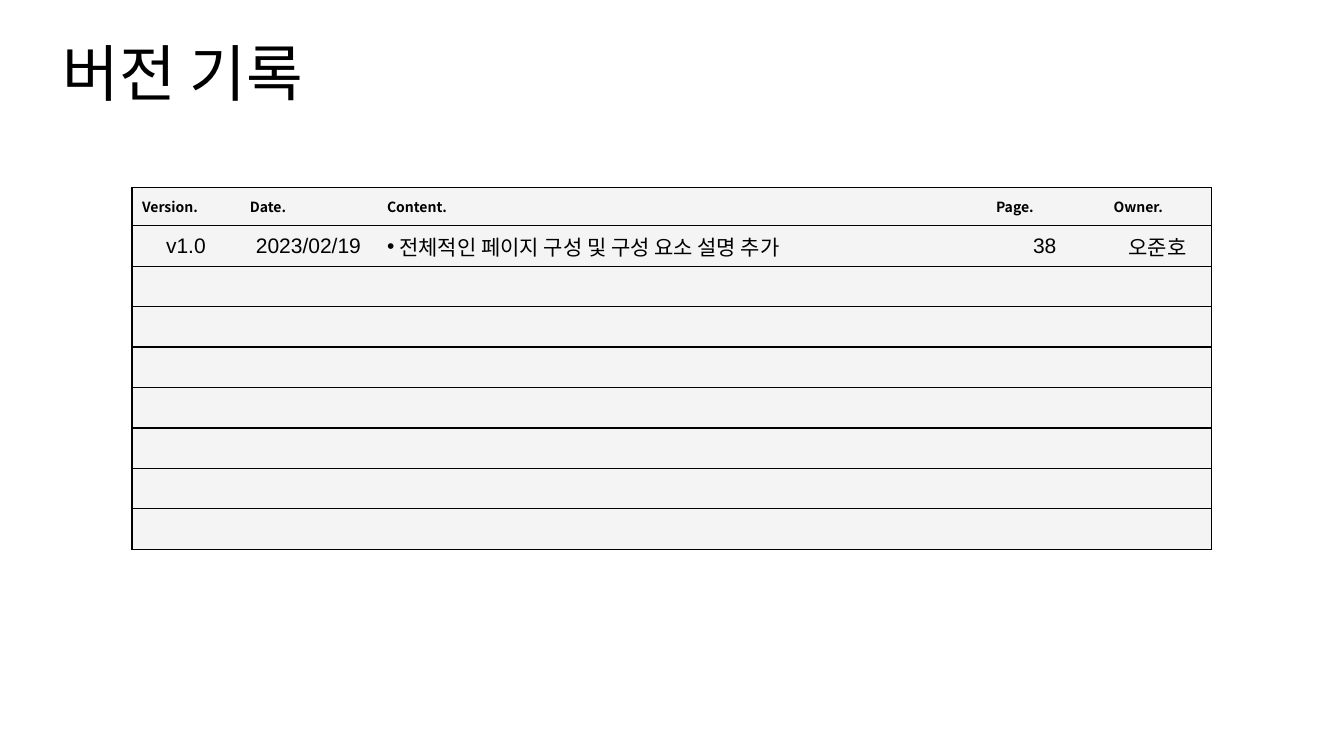
from dataclasses import dataclass

from lxml import etree
from pptx import Presentation
from pptx.dml.color import RGBColor
from pptx.enum.text import MSO_ANCHOR, MSO_AUTO_SIZE, PP_ALIGN
from pptx.oxml.ns import qn
from pptx.util import Pt

LEFT, CENTER = PP_ALIGN.LEFT, PP_ALIGN.CENTER
MIDDLE, NO_FIT = MSO_ANCHOR.MIDDLE, MSO_AUTO_SIZE.NONE

HUES = {"ink": "000000", "cell": "F4F4F4"}
LATIN, HANGUL = "Arial", "Noto Sans CJK KR"
TITLE = {"size": Pt(44), "bold": False, "name": LATIN}
HEAD = {"size": Pt(10), "bold": True, "name": HANGUL}
BODY = {"size": Pt(15), "bold": False}
ROWS, HEAD_H, ROW_H = 9, 27.3, 28.9
INDENT = Pt(8.64)


@dataclass
class Column:
    head: str
    width: float
    entry: str
    font: str = LATIN
    bullet: bool = False


COLUMNS = [
    Column("Version.", 77, "v1.0"),
    Column("Date.", 98, "2023/02/19"),
    Column("Content.", 435, "전체적인 페이지 구성 및 구성 요소 설명 추가", HANGUL, True),
    Column("Page.", 84, "38"),
    Column("Owner.", 77, "오준호", HANGUL),
]


def write(para, text: str, style: dict) -> None:
    run = para.add_run()
    run.text = text
    for key, value in style.items():
        setattr(run.font, key, value)
    run.font.color.rgb = RGBColor.from_string(HUES["ink"])
    etree.SubElement(run.font._element, qn("a:ea"), typeface=HANGUL)


def add_bullet(para) -> None:
    props = para._p.get_or_add_pPr()
    props.set("marL", str(int(INDENT)))
    props.set("indent", str(-int(INDENT)))
    etree.SubElement(props, qn("a:buFont"), typeface=LATIN)
    etree.SubElement(props, qn("a:buChar"), char="•")


def add_edges(cell, edges: str) -> None:
    """Rule the named sides and clear the others."""
    props = cell._tc.get_or_add_tcPr()
    for spot, side in enumerate("LRTB"):
        line = etree.Element(qn(f"a:ln{side}"), w=str(int(Pt(1))))
        if side in edges:
            fill = etree.SubElement(line, qn("a:solidFill"))
            etree.SubElement(fill, qn("a:srgbClr"), val=HUES["ink"])
        else:
            etree.SubElement(line, qn("a:noFill"))
        props.insert(spot, line)


def fill_cell(cell, row: int, col: int) -> None:
    item = COLUMNS[col]
    cell.fill.solid()
    cell.fill.fore_color.rgb = RGBColor.from_string(HUES["cell"])
    cell.vertical_anchor = MIDDLE
    outer = {0: "L", len(COLUMNS) - 1: "R"}
    add_edges(cell, "TB" + outer.get(col, ""))
    para = cell.text_frame.paragraphs[0]
    if row == 0:
        write(para, item.head, HEAD)
    elif row == 1:
        para.alignment = LEFT if item.bullet else CENTER
        if item.bullet:
            add_bullet(para)
        write(para, item.entry, BODY | {"name": item.font})
    else:
        # Small empty lines keep the row height fixed
        etree.SubElement(para._p, qn("a:endParaRPr"), sz="1000")


def add_title(slide) -> None:
    title = slide.shapes.title
    box = {"left": Pt(37.44), "top": Pt(31.68), "width": Pt(899.28), "height": Pt(45.36)}
    for key, value in box.items():
        setattr(title, key, value)
    frame = title.text_frame
    frame.auto_size = NO_FIT
    frame.vertical_anchor = MIDDLE
    para = frame.paragraphs[0]
    para.alignment = LEFT
    para.line_spacing = 0.9
    write(para, "버전 기록", TITLE)


def add_log(slide) -> None:
    width = sum(item.width for item in COLUMNS)
    height = HEAD_H + (ROWS - 1) * ROW_H
    frame = slide.shapes.add_table(
        ROWS, len(COLUMNS), Pt(94.32), Pt(133.92), Pt(width), Pt(height))
    table = frame.table
    table.first_row = table.horz_banding = False
    for col, item in enumerate(COLUMNS):
        table.columns[col].width = Pt(item.width)
    for row in range(ROWS):
        table.rows[row].height = Pt(ROW_H if row else HEAD_H)
        for col in range(len(COLUMNS)):
            fill_cell(table.cell(row, col), row, col)


def main() -> None:
    deck = Presentation()
    deck.slide_width, deck.slide_height = Pt(960), Pt(540)
    slide = deck.slides.add_slide(deck.slide_layouts[5])
    # Heading
    add_title(slide)
    # Version log
    add_log(slide)
    deck.save("out.pptx")


if __name__ == "__main__":
    main()
